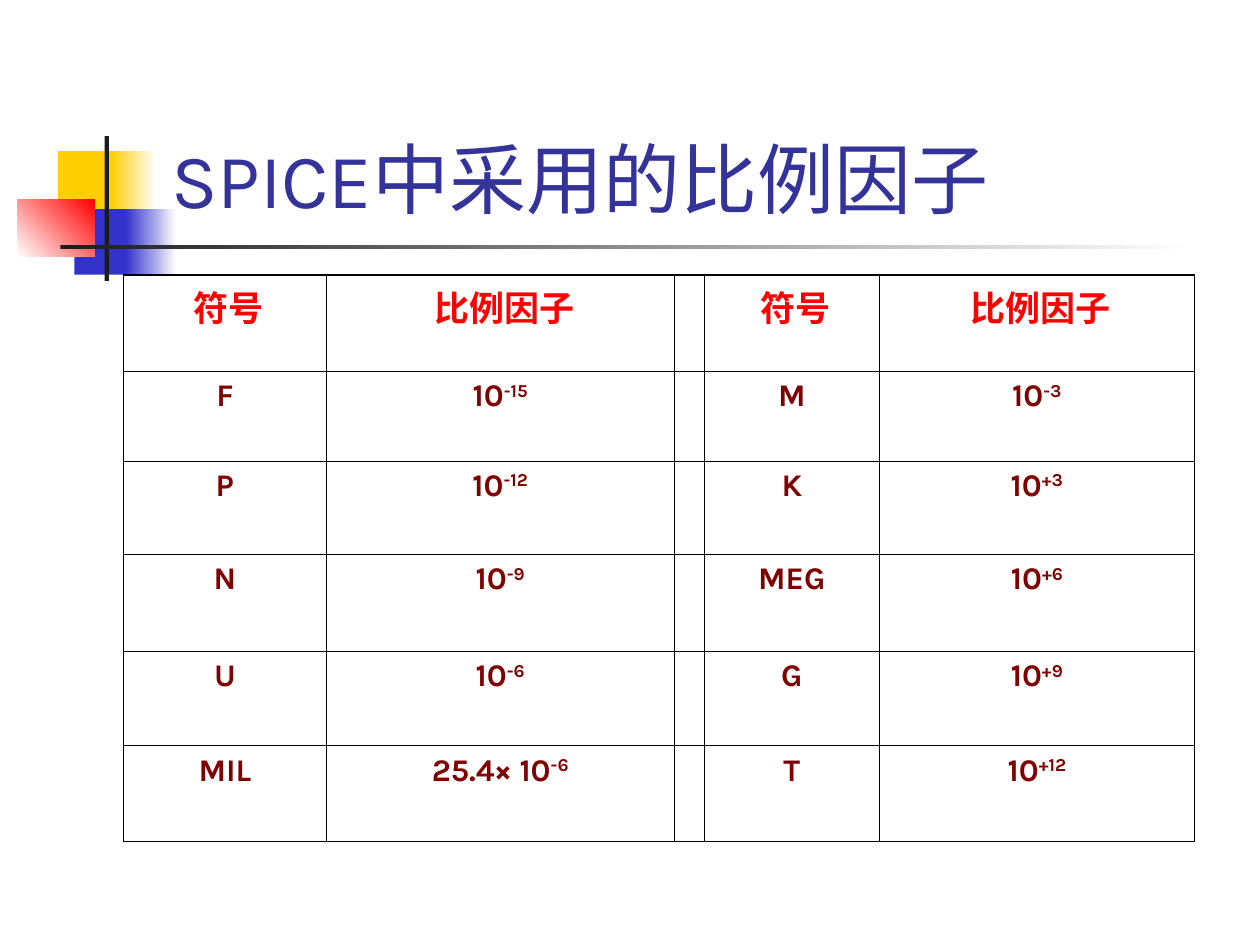
import pptx
import pptx.dml.color
import pptx.enum.shapes
import pptx.enum.text
import pptx.oxml
import pptx.oxml.ns
import pptx.util

COLS, ROWS = 100, 75
FONT = "Karla"
THIN, THICK = 0.45, 1.08
COL_WIDTHS = [16.1, 27.6, 2.4, 13.9, 25]
ROW_HEIGHTS = [7.7, 7.1, 7.4, 7.7, 7.5, 7.6]
HEADER = [" 符号", " 比例因子", "", " 符号", " 比例因子"]
FACTORS = [
    ("F", "10", "-15", "M", "10", "-3"),
    ("P", "10", "-12", "K", "10", "+3"),
    ("N", "10", "-9", "MEG", "10", "+6"),
    ("U", "10", "-6", "G", "10", "+9"),
    ("MIL", "25.4× 10", "-6", "T", "10", "+12"),
]
ORNAMENTS = [
    ((4.6, 12, 4.8, 5.2), ["FFCF01"], 0),
    ((8.8, 12, 3.6, 5.2), ["FFCF01", "FFFFFF"], 0),
    ((5.9, 16.6, 4.6, 5.2), ["3333CC"], 0),
    ((10, 16.6, 4, 5.2), ["3333CC", "FFFFFF"], 0),
    ((1.4, 15.8, 6.1, 4.6), ["FFFFFF", "FF0000"], 45),
    ((8.3, 10.8, 0.35, 11.5), ["1C1C1C"], 0),
    ((4.8, 19.45, 90, 0.35), ["1C1C1C", "FFFFFF"], 0),
]


def unit(n):
    """Turn grid units into a length; the slide is COLS by ROWS units."""
    return pptx.util.Inches(n * 10 / COLS)


def rgb(value):
    """Return the colour for a hex string."""
    return pptx.dml.color.RGBColor.from_string(value)


def add_text(p, text, size=18, color="800000", bold=False, raised=False):
    """Append a formatted run to a paragraph."""
    r = p.add_run()
    r.text = text
    r.font.name = FONT
    r.font.size = pptx.util.Pt(size)
    r.font.bold = bold
    r.font.color.rgb = rgb(color)
    if raised:
        r._r.get_or_add_rPr().set("baseline", "30000")


def add_block(s, box, colors, angle):
    """Add a borderless rectangle with a solid or two-colour gradient fill."""
    kind = pptx.enum.shapes.MSO_SHAPE.RECTANGLE
    sp = s.shapes.add_shape(kind, *map(unit, box))
    sp.shadow.inherit = False
    sp.line.fill.background()
    if len(colors) == 1:
        sp.fill.solid()
        sp.fill.fore_color.rgb = rgb(colors[0])
        return
    sp.fill.gradient()
    sp.fill.gradient_angle = angle
    for stop, color in zip(sp.fill.gradient_stops, colors):
        stop.color.rgb = rgb(color)


def add_title(s, text):
    """Add the bottom-anchored slide title."""
    tf = s.shapes.add_textbox(*map(unit, (12.6, 2.3, 85.2, 16))).text_frame
    tf.word_wrap = True
    tf.vertical_anchor = pptx.enum.text.MSO_ANCHOR.BOTTOM
    add_text(tf.paragraphs[0], text, size=44, color="333399")


def set_borders(cell, **widths):
    """Draw black cell borders with the given widths in points."""
    for side, width in widths.items():
        cell._tc.get_or_add_tcPr().append(pptx.oxml.parse_xml(
            f'<a:ln{side} {pptx.oxml.ns.nsdecls("a")} w="{pptx.util.Pt(width)}">'
            '<a:solidFill><a:srgbClr val="000000"/></a:solidFill>'
            f'</a:ln{side}>'))


def add_factor_table(s):
    """Add the table of symbols and scale factors."""
    n_rows, n_cols = len(ROW_HEIGHTS), len(COL_WIDTHS)
    box = (9.8, 21.8, sum(COL_WIDTHS), sum(ROW_HEIGHTS))
    table = s.shapes.add_table(n_rows, n_cols, *map(unit, box)).table
    table.first_row = table.horz_banding = False
    for col, width in zip(table.columns, COL_WIDTHS):
        col.width = unit(width)
    for row, height in zip(table.rows, ROW_HEIGHTS):
        row.height = unit(height)
    for i in range(n_rows):
        for j in range(n_cols):
            cell = table.cell(i, j)
            set_borders(cell,
                        L=THIN if j else THICK,
                        R=THIN if j < n_cols - 1 else THICK,
                        T=THIN if i else THICK,
                        B=THIN if i < n_rows - 1 else THICK)
            cell.fill.background()
            cell.text_frame.paragraphs[0].alignment = pptx.enum.text.PP_ALIGN.CENTER
    for j, label in enumerate(HEADER):
        if label:
            p = table.cell(0, j).text_frame.paragraphs[0]
            add_text(p, label, size=20, color="FF0000", bold=True)
    for i, values in enumerate(FACTORS, start=1):
        for j, (symbol, base, power) in ((0, values[:3]), (3, values[3:])):
            add_text(table.cell(i, j).text_frame.paragraphs[0], symbol, bold=True)
            p = table.cell(i, j + 1).text_frame.paragraphs[0]
            add_text(p, base, bold=True)
            add_text(p, power, bold=True, raised=True)


def main():
    """Build and save the slide."""
    prs = pptx.Presentation()
    prs.slide_width, prs.slide_height = unit(COLS), unit(ROWS)
    s = prs.slides.add_slide(prs.slide_layouts[6])
    for box, colors, angle in ORNAMENTS:
        add_block(s, box, colors, angle)
    add_title(s, "SPICE中采用的比例因子")
    add_factor_table(s)
    prs.save("out.pptx")


if __name__ == "__main__":
    main()
